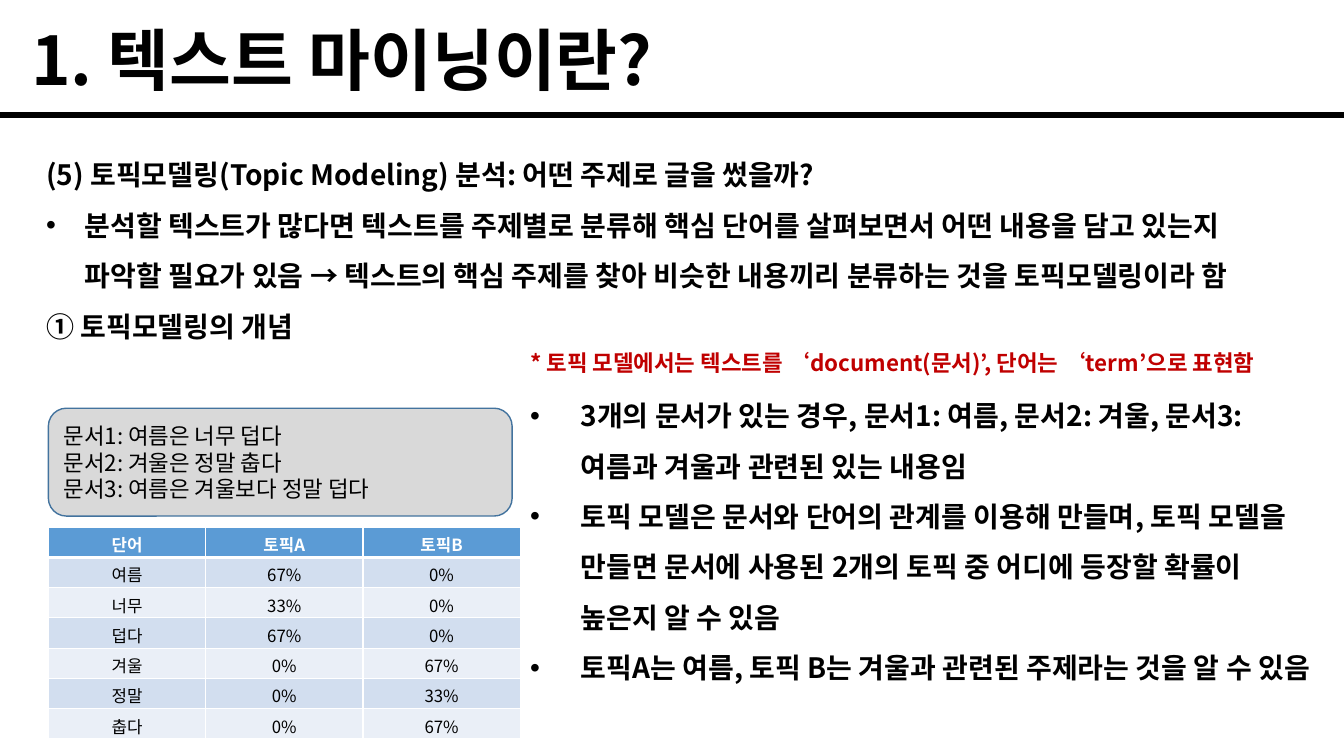
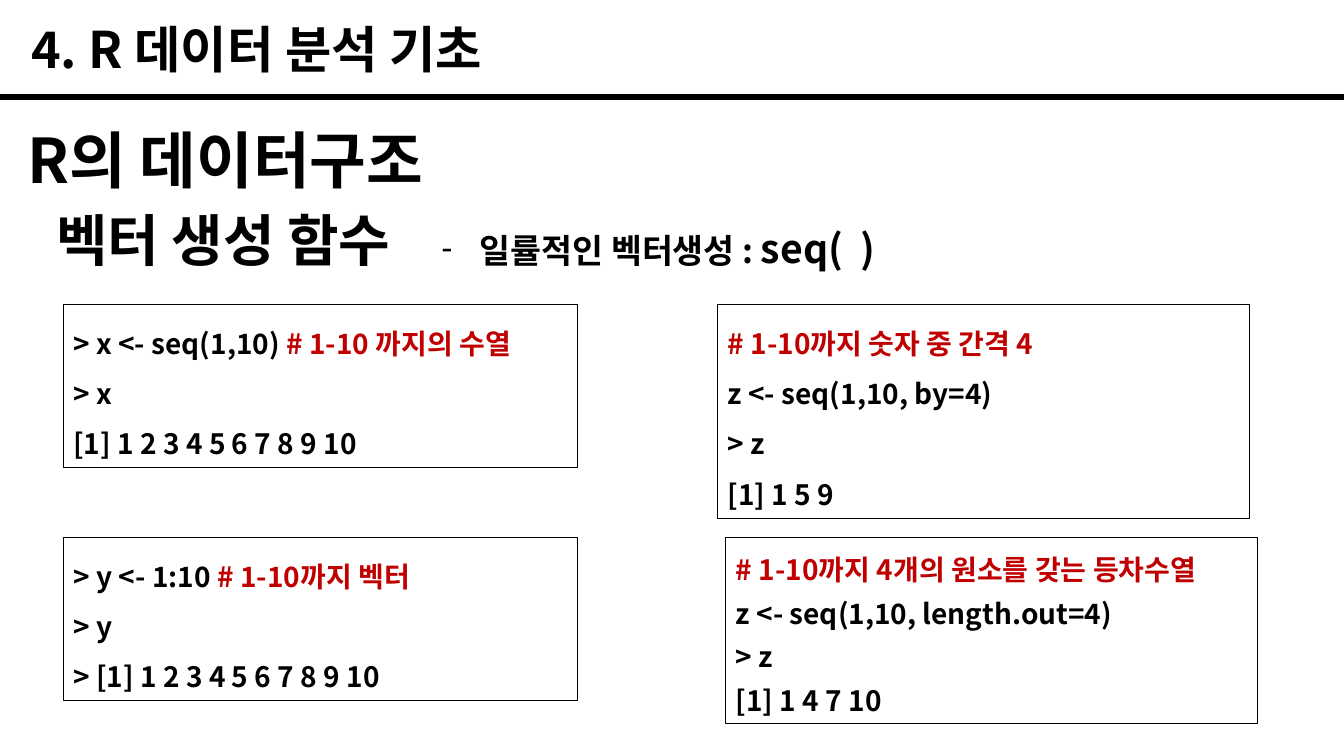
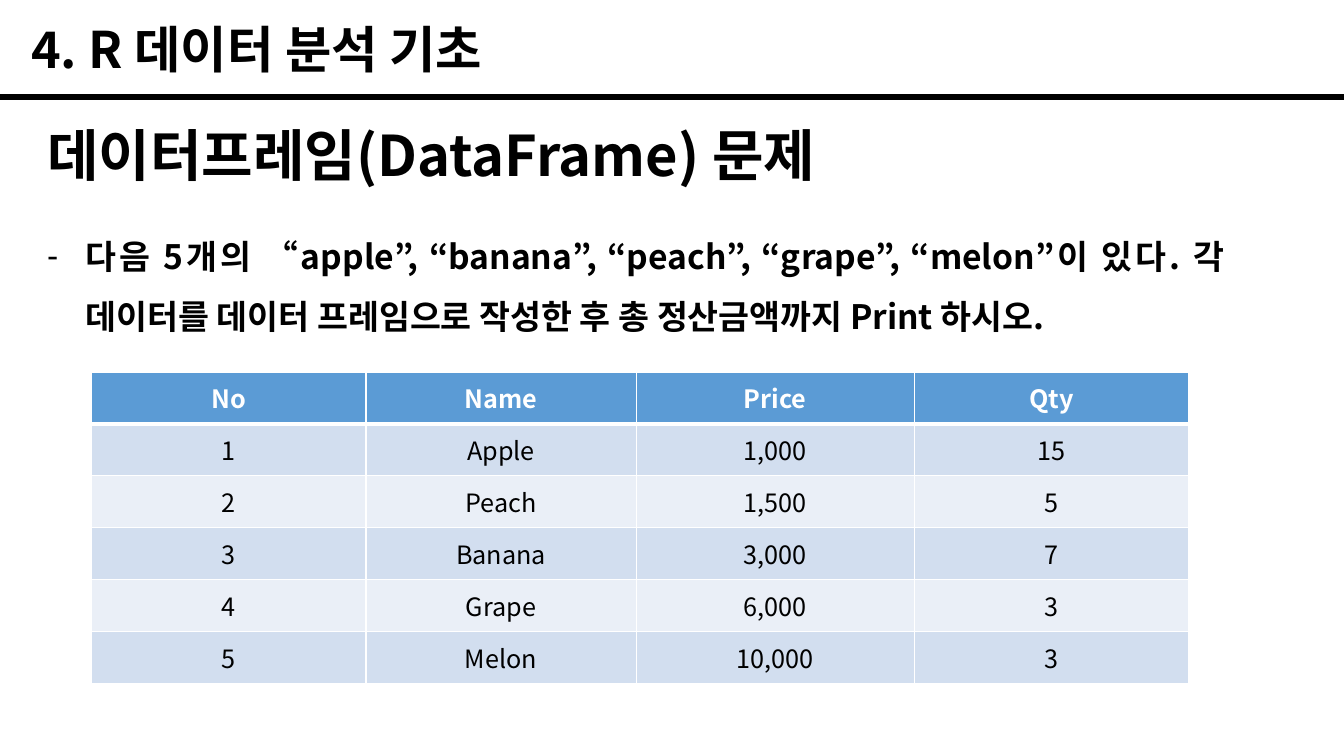
from typing import NamedTuple

from lxml import etree
from pptx import Presentation
from pptx import util as u
from pptx.dml.color import RGBColor
from pptx.enum import shapes, text
from pptx.oxml import ns

FONT = "Noto Sans CJK KR"
COLORS = {
    "ink": "000000", "paper": "FFFFFF", "accent": "C00000",
    "panel": "D9D9D9", "panel_edge": "43739E",
    "head": "5B9BD5", "band_dark": "D2DEEF", "band_light": "EAEFF7",
}
JUSTIFY, CENTER = text.PP_ALIGN.JUSTIFY, text.PP_ALIGN.CENTER


class Run(NamedTuple):
    text: str
    color: str = "ink"
    size: float = None


class Para(NamedTuple):
    runs: list
    bullet: str = None
    indent: float = 0


def rgb(name):
    return RGBColor.from_string(COLORS[name])


def child(parent, tag, **attrs):
    return etree.SubElement(parent, ns.qn(tag), attrs)


def inches(*values):
    return [u.Inches(v) for v in values]


def bulleted(line, mark, indent=0.38):
    return Para([Run(line)], mark, indent)


def add_run(p, run, size, bold):
    r = p.add_run()
    r.text = run.text
    r.font.size = u.Pt(run.size or size)
    r.font.bold = bold
    r.font.color.rgb = rgb(run.color)
    r.font.name = FONT
    latin = r.font._element.find(ns.qn("a:latin"))
    latin.addnext(etree.Element(ns.qn("a:ea"), typeface=FONT))


def write(tf, paras, size, bold=True, spacing=None, align=None):
    """Fill a text frame; each paragraph is a string, a list of runs or a Para."""
    for i, para in enumerate(paras):
        if isinstance(para, str):
            para = [Run(para)]
        if not isinstance(para, Para):
            para = Para(para)
        p = tf.paragraphs[0] if i == 0 else tf.add_paragraph()
        if align is not None:
            p.alignment = align
        if spacing:
            p.line_spacing = spacing
        if para.bullet:
            pPr = p._p.get_or_add_pPr()
            pPr.set("marL", str(u.Inches(para.indent)))
            pPr.set("indent", str(-u.Inches(para.indent)))
            child(pPr, "a:buFont", typeface="Arial")
            child(pPr, "a:buChar", char=para.bullet)
        for run in para.runs:
            add_run(p, run, size, bold)


def add_text(s, box, paras, size, wrap=True, **style):
    sp = s.shapes.add_textbox(*inches(*box))
    tf = sp.text_frame
    tf.word_wrap = wrap
    tf.auto_size = text.MSO_AUTO_SIZE.SHAPE_TO_FIT_TEXT
    write(tf, paras, size, **style)
    return sp


def add_header(s, title, size, rule_y):
    add_text(s, (0.21, 0.13, 11.95, rule_y - 0.24), [title], size)
    rule = s.shapes.add_connector(shapes.MSO_CONNECTOR.STRAIGHT,
                                  *inches(0, rule_y, 13.33, rule_y))
    rule.line.color.rgb = rgb("ink")
    rule.line.width = u.Pt(4.5)
    child(rule._element.spPr, "a:effectLst")


def add_code_box(s, box, lines, spacing=1.5):
    sp = add_text(s, box, lines, 20, spacing=spacing, align=JUSTIFY)
    sp.line.color.rgb = rgb("ink")
    sp.line.width = u.Pt(0.75)


def add_document_panel(s, box, lines):
    sp = s.shapes.add_shape(shapes.MSO_SHAPE.ROUNDED_RECTANGLE, *inches(*box))
    sp.shadow.inherit = False
    sp.fill.solid()
    sp.fill.fore_color.rgb = rgb("panel")
    sp.line.color.rgb = rgb("panel_edge")
    sp.line.width = u.Pt(1)
    sp.text_frame.word_wrap = True
    sp.text_frame.vertical_anchor = text.MSO_ANCHOR.MIDDLE
    write(sp.text_frame, lines, 16, bold=False, align=text.PP_ALIGN.LEFT)


def style_cell(cell, fill, bottom_width):
    tcPr = cell._tc.get_or_add_tcPr()
    for side, width in (("L", 1), ("R", 1), ("T", 1), ("B", bottom_width)):
        ln = child(tcPr, f"a:ln{side}", w=str(u.Pt(width)))
        child(child(ln, "a:solidFill"), "a:srgbClr", val=COLORS["paper"])
    cell.fill.solid()
    cell.fill.fore_color.rgb = rgb(fill)


def add_banded_table(s, left, top, col_widths, row_height, rows, size,
                     anchor=text.MSO_ANCHOR.TOP, margin_bottom=0.05):
    box = inches(left, top, sum(col_widths), row_height * len(rows))
    table = s.shapes.add_table(len(rows), len(col_widths), *box).table
    table.horz_banding = False
    for col, width in zip(table.columns, col_widths):
        col.width = u.Inches(width)
    for i, values in enumerate(rows):
        table.rows[i].height = u.Inches(row_height)
        is_head = i == 0
        fill = "head" if is_head else ("band_dark" if i % 2 else "band_light")
        for j, value in enumerate(values):
            cell = table.cell(i, j)
            cell.vertical_anchor = anchor
            cell.margin_bottom = u.Inches(margin_bottom)
            style_cell(cell, fill, 3 if is_head else 1)
            run = Run(value, "paper" if is_head else "ink")
            write(cell.text_frame, [[run]], size, bold=is_head, align=CENTER)


def topic_modeling_slide(s):
    add_header(s, "1. 텍스트 마이닝이란?", 48, 1.14)
    add_text(s, (0.36, 1.35, 12.38, 2.63), [
        "(5) 토픽모델링(Topic Modeling) 분석: 어떤 주제로 글을 썼을까?",
        bulleted("분석할 텍스트가 많다면 텍스트를 주제별로 분류해 핵심 단어를 살펴보면서 "
                 "어떤 내용을 담고 있는지 파악할 필요가 있음 → 텍스트의 핵심 주제를 찾아 "
                 "비슷한 내용끼리 분류하는 것을 토픽모델링이라 함", "•"),
        "① 토픽모델링의 개념",
    ], 20, spacing=1.5)
    add_document_panel(s, (0.48, 4.05, 4.6, 1.07), [
        "문서1: 여름은 너무 덥다",
        "문서2: 겨울은 정말 춥다",
        "문서3: 여름은 겨울보다 정말 덥다",
    ])
    add_banded_table(s, 0.48, 5.23, [1.56] * 3, 0.3, [
        ("단어", "토픽A", "토픽B"),
        ("여름", "67%", "0%"),
        ("너무", "33%", "0%"),
        ("덥다", "67%", "0%"),
        ("겨울", "0%", "67%"),
        ("정말", "0%", "33%"),
        ("춥다", "0%", "67%"),
    ], 12, margin_bottom=0)
    findings = [
        "3개의 문서가 있는 경우, 문서1: 여름, 문서2: 겨울, 문서3: 여름과 겨울과 관련된 있는 내용임",
        "토픽 모델은 문서와 단어의 관계를 이용해 만들며, 토픽 모델을 만들면 문서에 사용된 "
        "2개의 토픽 중 어디에 등장할 확률이 높은지 알 수 있음",
        "토픽A는 여름, 토픽 B는 겨울과 관련된 주제라는 것을 알 수 있음",
    ]
    add_text(s, (5.16, 3.74, 8.01, 3.64),
             [bulleted(line, "•", 0.5) for line in findings], 20, spacing=1.5)
    note = "* 토픽 모델에서는 텍스트를 ‘document(문서)’, 단어는 ‘term’으로 표현함"
    add_text(s, (5.16, 3.28, 7.82, 0.5), [[Run(note, "accent")]], 16, spacing=1.5)


def vector_slide(s):
    add_header(s, "4. R 데이터 분석 기초", 36, 0.96)
    add_text(s, (0.17, 1.16, 8.24, 0.84), ["R의 데이터구조"], 44)
    add_text(s, (0.46, 1.99, 3.67, 0.77), ["벡터 생성 함수"], 40, wrap=False)
    seq_runs = [Run("일률적인 벡터생성 : "), Run("seq(  )", size=28)]
    add_text(s, (4.28, 1.94, 4.89, 0.72), [Para(seq_runs, "-", 0.38)], 24,
             spacing=1.5, align=JUSTIFY)

    add_code_box(s, (0.63, 3.02, 5.1, 1.62), [
        [Run("> x <- seq(1,10) "), Run("# 1-10 까지의 수열", "accent")],
        "> x",
        "[1] 1 2 3 4 5 6 7 8 9 10",
    ])
    add_code_box(s, (0.63, 5.33, 5.1, 1.62), [
        [Run("> y <- 1:10 "), Run("# 1-10까지 벡터", "accent")],
        "> y",
        "> [1] 1 2 3 4 5 6 7 8 9 10",
    ])
    add_code_box(s, (7.12, 3.02, 5.27, 2.12), [
        [Run("# 1-10까지 숫자 중 간격 4", "accent")],
        "z <- seq(1,10, by=4)",
        "> z",
        "[1] 1 5 9",
    ])
    add_code_box(s, (7.2, 5.33, 5.27, 1.85), [
        [Run("# 1-10까지 4개의 원소를 갖는 등차수열", "accent")],
        "z <- seq(1,10, length.out=4)",
        "> z",
        "[1] 1 4 7 10",
    ], spacing=1.3)


def data_frame_slide(s):
    add_header(s, "4. R 데이터 분석 기초", 36, 0.96)
    add_text(s, (0.37, 1.15, 8.19, 0.77), ["데이터프레임(DataFrame) 문제"], 40, wrap=False)
    task = ("다음 5개의 “apple”, “banana”, “peach”, “grape”, “melon”이 있다. 각 데이터를 "
            "데이터 프레임으로 작성한 후 총 정산금액까지 Print 하시오.")
    add_text(s, (0.37, 2.09, 11.87, 1.23), [bulleted(task, "-")], 24,
             spacing=1.5, align=JUSTIFY)
    add_banded_table(s, 0.91, 3.69, [2.72, 2.68, 2.76, 2.72], 0.515, [
        ("No", "Name", "Price", "Qty"),
        ("1", "Apple", "1,000", "15"),
        ("2", "Peach", "1,500", "5"),
        ("3", "Banana", "3,000", "7"),
        ("4", "Grape", "6,000", "3"),
        ("5", "Melon", "10,000", "3"),
    ], 18, anchor=text.MSO_ANCHOR.MIDDLE)


def main():
    prs = Presentation()
    prs.slide_width, prs.slide_height = inches(13.33, 7.5)
    for build in (topic_modeling_slide, vector_slide, data_frame_slide):
        build(prs.slides.add_slide(prs.slide_layouts[6]))
    prs.save("out.pptx")


if __name__ == "__main__":
    main()
